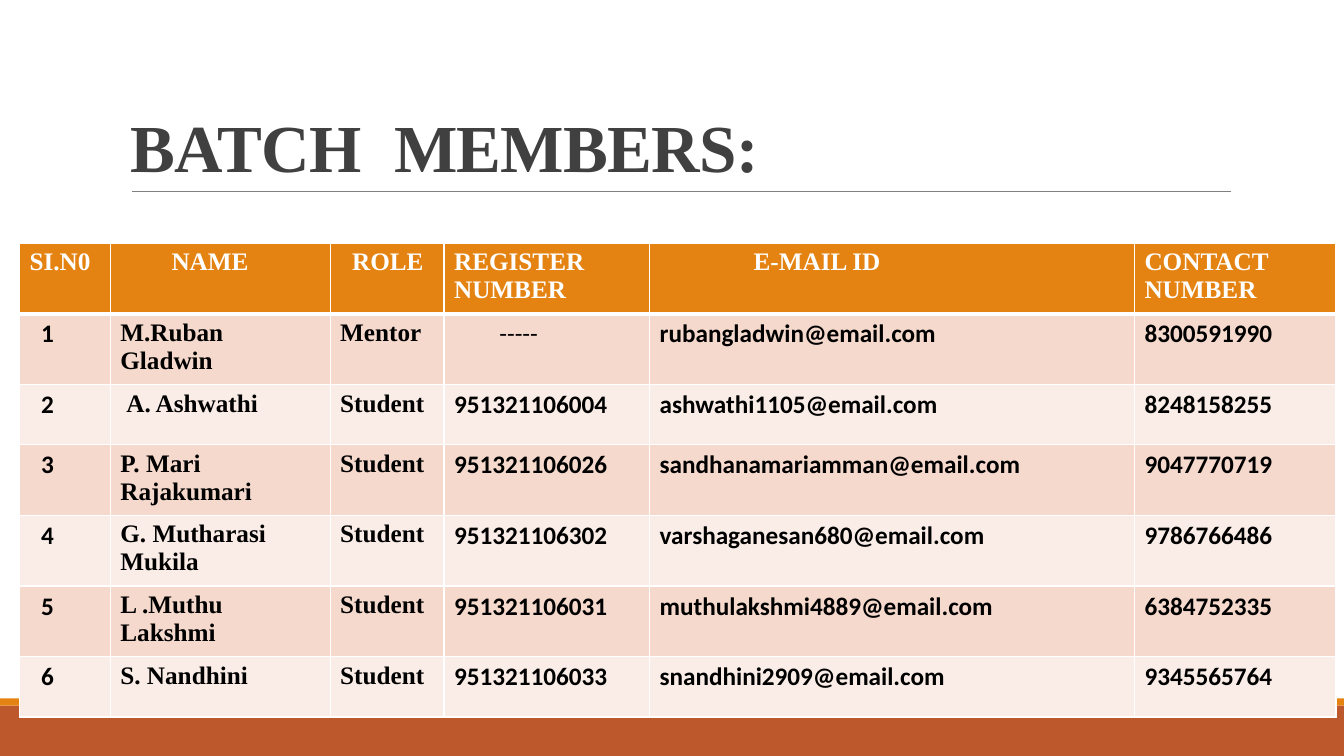
from lxml import etree
from pptx import Presentation
from pptx import util as u
from pptx.dml.color import RGBColor
from pptx.enum import shapes, text
from pptx.oxml import ns

Cm = u.Cm
HUES = {"rust": "BD582C", "gold": "E48312", "rule": "808080", "title": "404040",
        "white": "FFFFFF", "black": "000000", "odd": "F5D9CC", "even": "FAEDE7"}
ROMAN, SANS = "Times New Roman", "Calibri"


def hue(name):
    return RGBColor.from_string(HUES[name])


def write(para, words, face, size, tint, bold=True):
    run = para.add_run()
    run.text = words
    run.font.name = face
    run.font.size = u.Pt(size)
    run.font.bold = bold
    run.font.color.rgb = hue(tint)
    return run


deck = Presentation()
deck.slide_width, deck.slide_height = Cm(33.87), Cm(19.05)
slide = deck.slides.add_slide(deck.slide_layouts[6])

for top, high, tint in [(17.78, 1.27, "rust"), (17.6, 0.18, "gold")]:
    band = slide.shapes.add_shape(shapes.MSO_SHAPE.RECTANGLE, 0, Cm(top), deck.slide_width, Cm(high))
    band.shadow.inherit = False
    band.fill.solid()
    band.fill.fore_color.rgb = hue(tint)
    band.line.fill.background()

rule = slide.shapes.add_connector(shapes.MSO_CONNECTOR.STRAIGHT, Cm(3.33), Cm(4.83), Cm(31.01), Cm(4.83))
rule.line.color.rgb = hue("rule")
rule.line.width = u.Pt(0.5)
etree.SubElement(rule._element.spPr, ns.qn("a:effectLst"))

title = slide.shapes.add_textbox(Cm(3.05), Cm(0.79), Cm(27.94), Cm(4.04)).text_frame
title.word_wrap = True
title.vertical_anchor = text.MSO_ANCHOR.BOTTOM
head = title.paragraphs[0]
head.line_spacing = 0.85
for words, gap in [("BATCH", -50), (" ", 1100), ("MEMBERS:", -50)]:
    run = write(head, words, ROMAN, 48, "title")
    run.font._element.set("spc", str(gap))

WIDTHS = [2.29, 5.54, 2.87, 5.18, 12.22, 5.08]
HEIGHTS = [1.64, 1.66, 1.52, 1.66, 1.66, 1.66, 1.52]
FACES = [SANS, ROMAN, ROMAN, SANS, SANS, SANS]
INDENTS = {(0, 1): 1.29, (0, 2): 0.3, (0, 4): 2.37, (1, 3): 1.14, (2, 1): 0.15}
INDENTS.update({(r, 0): 0.29 for r in range(1, 7)})
ROWS = [
    ("SI.N0", "NAME", "ROLE", "REGISTER NUMBER", "E-MAIL ID", "CONTACT\nNUMBER"),
    ("1", "M.Ruban Gladwin", "Mentor", "-----", "rubangladwin@email.com", "8300591990"),
    ("2", "A. Ashwathi", "Student", "951321106004", "ashwathi1105@email.com", "8248158255"),
    ("3", "P. Mari Rajakumari", "Student", "951321106026", "sandhanamariamman@email.com", "9047770719"),
    ("4", "G. Mutharasi Mukila", "Student", "951321106302", "varshaganesan680@email.com", "9786766486"),
    ("5", "L .Muthu Lakshmi", "Student", "951321106031", "muthulakshmi4889@email.com", "6384752335"),
    ("6", "S. Nandhini", "Student", "951321106033", "snandhini2909@email.com", "9345565764"),
]

table = slide.shapes.add_table(len(ROWS), len(WIDTHS), Cm(0.49), Cm(6.13),
                               Cm(sum(WIDTHS)), Cm(sum(HEIGHTS))).table
for col, wide in zip(table.columns, WIDTHS):
    col.width = Cm(wide)
for row, high in zip(table.rows, HEIGHTS):
    row.height = Cm(high)

for r, row in enumerate(ROWS):
    for c, words in enumerate(row):
        cell = table.cell(r, c)
        props = cell._tc.get_or_add_tcPr()
        for side in "LRTB":
            thick = 3 if (r, side) in [(0, "B"), (1, "T")] else 1
            edge = etree.SubElement(props, ns.qn("a:ln" + side), w=str(u.Pt(thick)))
            fill = etree.SubElement(edge, ns.qn("a:solidFill"))
            etree.SubElement(fill, ns.qn("a:srgbClr"), val=HUES["white"])
        cell.fill.solid()
        cell.fill.fore_color.rgb = hue("gold" if r == 0 else "odd" if r % 2 else "even")
        for n, line in enumerate(words.split("\n")):
            para = cell.text_frame.add_paragraph() if n else cell.text_frame.paragraphs[0]
            if (r, c) in INDENTS:
                para._p.get_or_add_pPr().set("marL", str(Cm(INDENTS[r, c])))
            write(para, line, FACES[c] if r else ROMAN, 18,
                  "black" if r else "white", line != "-----")

deck.save("out.pptx")
